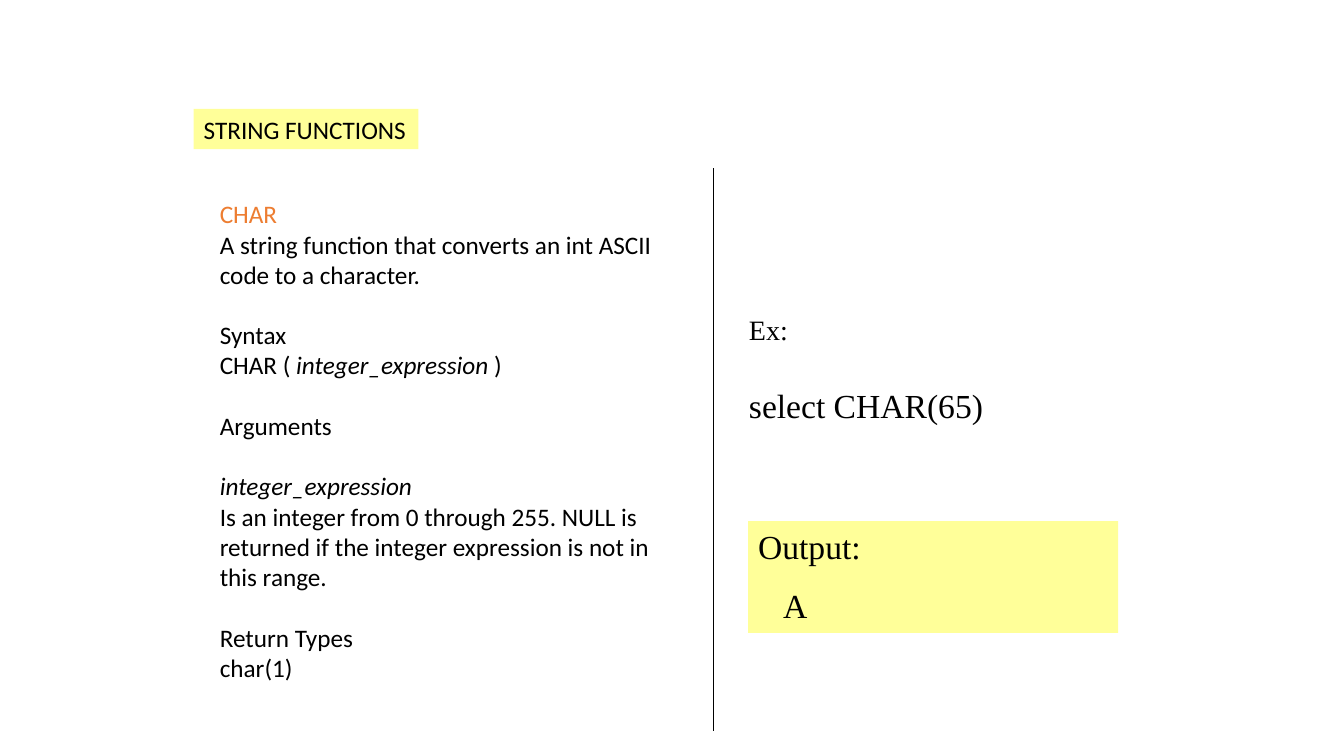
from dataclasses import dataclass

from lxml import etree
from pptx import Presentation
from pptx import util as u
from pptx.dml.color import RGBColor
from pptx.enum import shapes, text
from pptx.oxml import ns

COLOURS = {"ink": "000000", "accent": "ED7D31", "highlight": "FFFF99"}
SANS, SERIF = "Calibri", "Times New Roman"


@dataclass(frozen=True)
class Span:
    words: str
    italic: bool = False


@dataclass(frozen=True)
class Para:
    spans: tuple[Span, ...]
    size: float = 18
    before: float = 0
    indent: float = 0
    colour: str = "ink"


@dataclass(frozen=True)
class Block:
    left: float
    top: float
    width: float
    height: float
    font: str
    paras: tuple[Para, ...]
    fill: str | None = None
    wrap: bool = True


def line(words: str, italic: bool = False, **style) -> Para:
    return Para((Span(words, italic),), **style)


SECTION_GAP = 21.6
HEADING = Block(1.92, 1.08, 2.23, 0.4, SANS, (line("STRING FUNCTIONS"),), "highlight", False)
REFERENCE = Block(2.08, 1.92, 4.67, 5.25, SANS, (
    line("CHAR", colour="accent"),
    line("A string function that converts an int ASCII code to a character."),
    line("Syntax", before=SECTION_GAP),
    Para((Span("CHAR ( "), Span("integer_expression ", True), Span(")"))),
    line("Arguments", before=SECTION_GAP),
    line("integer_expression", True, before=SECTION_GAP),
    line("Is an integer from 0 through 255. NULL is returned if the integer "
         "expression is not in this range."),
    line("Return Types", before=SECTION_GAP),
    line("char(1)"),
))
EXAMPLE = Block(7.33, 3.05, 3.67, 1.25, SERIF, (
    line("Ex:", size=20),
    line("select CHAR(65)", size=24, before=27.6),
))
OUTPUT = Block(7.42, 5.17, 3.67, 1.11, SERIF, (
    line("Output:", size=24),
    line("A", size=24, before=13, indent=0.25),
), "highlight")


def colour(name: str) -> RGBColor:
    return RGBColor.from_string(COLOURS[name])


def write_para(paragraph, para: Para, font: str) -> None:
    properties = paragraph._p.get_or_add_pPr()
    properties.set("marL", str(u.Inches(para.indent)))
    properties.set("indent", "0")
    etree.SubElement(properties, ns.qn("a:buNone"))
    paragraph.alignment = text.PP_ALIGN.LEFT
    paragraph.space_before = u.Pt(para.before)
    for span in para.spans:
        run = paragraph.add_run()
        run.text = span.words
        run.font.name = font
        run.font.size = u.Pt(para.size)
        run.font.italic = span.italic
        run.font.color.rgb = colour(para.colour)


def draw_block(box, block: Block) -> None:
    box.left, box.top = u.Inches(block.left), u.Inches(block.top)
    box.width, box.height = u.Inches(block.width), u.Inches(block.height)
    if block.fill:
        box.fill.solid()
        box.fill.fore_color.rgb = colour(block.fill)
    frame = box.text_frame
    frame.word_wrap = block.wrap
    frame.auto_size = text.MSO_AUTO_SIZE.NONE
    frame.vertical_anchor = text.MSO_ANCHOR.TOP
    for index, para in enumerate(block.paras):
        paragraph = frame.add_paragraph() if index else frame.paragraphs[0]
        write_para(paragraph, para, block.font)


def draw_divider(page) -> None:
    divider = page.shapes.add_connector(
        shapes.MSO_CONNECTOR.STRAIGHT,
        u.Inches(7.08), u.Inches(1.67), u.Inches(7.08), u.Inches(7.25))
    divider.line.color.rgb = colour("ink")
    divider.line.width = u.Pt(0.75)
    etree.SubElement(divider._element.spPr, ns.qn("a:effectLst"))


def main() -> None:
    deck = Presentation()
    deck.slide_width, deck.slide_height = u.Inches(13.33), u.Inches(7.5)
    page = deck.slides.add_slide(deck.slide_layouts[1])
    draw_block(page.shapes.title, HEADING)
    draw_block(page.placeholders[1], REFERENCE)
    draw_block(page.shapes.add_textbox(0, 0, 0, 0), EXAMPLE)
    output = page.shapes.add_shape(shapes.MSO_SHAPE.RECTANGLE, 0, 0, 0, 0)
    output.shadow.inherit = False
    output.line.fill.background()
    draw_block(output, OUTPUT)
    draw_divider(page)
    deck.save("out.pptx")


if __name__ == "__main__":
    main()
